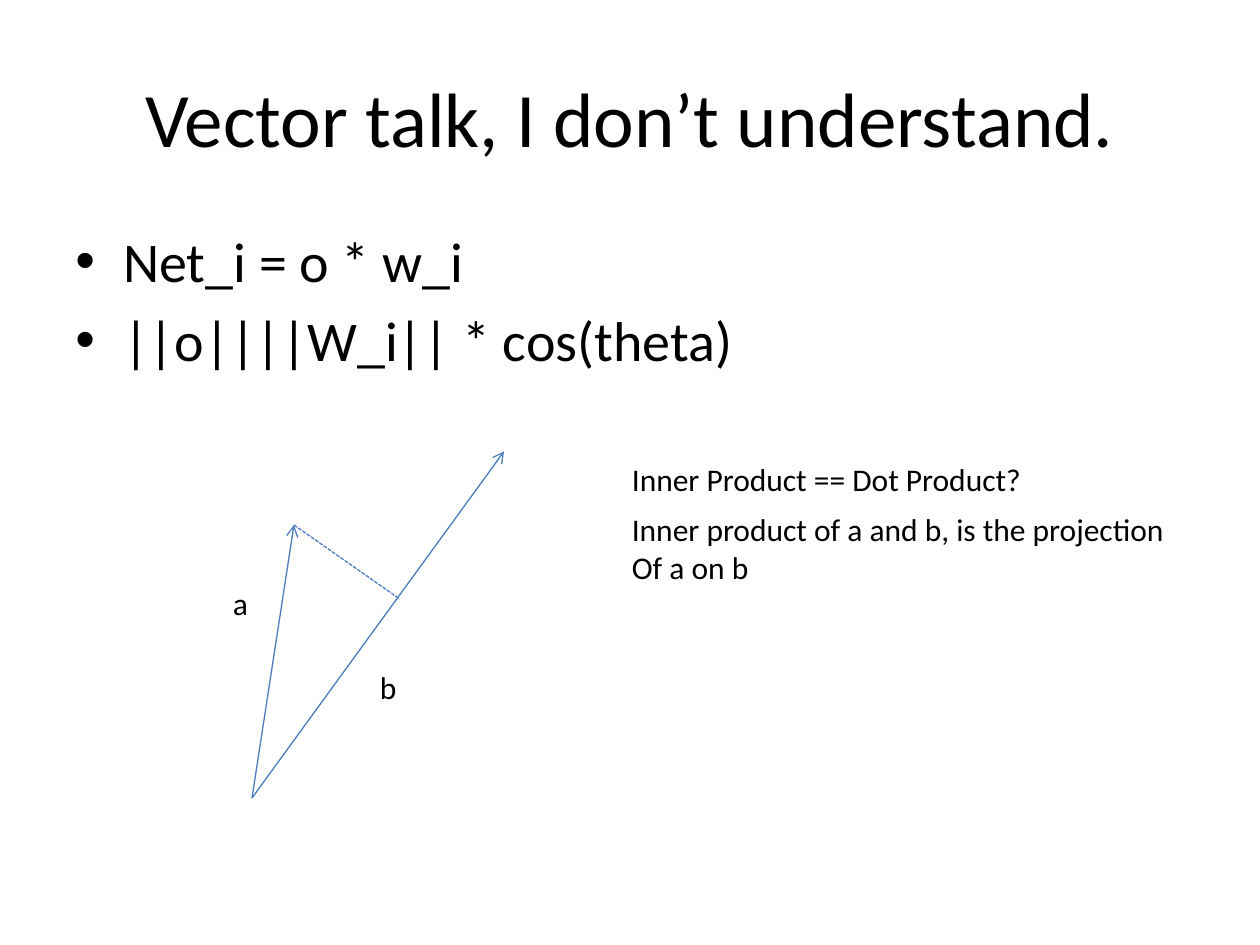
from lxml import etree
from pptx import Presentation
from pptx.dml.color import RGBColor
from pptx.enum.dml import MSO_LINE
from pptx.enum.shapes import MSO_CONNECTOR
from pptx.enum.text import MSO_ANCHOR, MSO_AUTO_SIZE, PP_ALIGN
from pptx.oxml.ns import qn
from pptx.util import Inches, Pt

STRAIGHT = MSO_CONNECTOR.STRAIGHT
DASHED = MSO_LINE.SQUARE_DOT
MIDDLE, TOP = MSO_ANCHOR.MIDDLE, MSO_ANCHOR.TOP
CENTER, LEFT = PP_ALIGN.CENTER, PP_ALIGN.LEFT
FIT_SHAPE, NO_FIT = MSO_AUTO_SIZE.SHAPE_TO_FIT_TEXT, MSO_AUTO_SIZE.NONE
TITLE_ONLY = 5


def color(value):
    return RGBColor.from_string(value)


def grid(*cells):
    """Turn grid cells, twelve to the inch, into lengths."""
    return [Inches(cell / 12) for cell in cells]


class VectorSlide:
    font = "Calibri"
    ink = "000000"
    stroke = "4B7EBC"

    def __init__(self, deck):
        self.page = deck.slides.add_slide(deck.slide_layouts[TITLE_ONLY])

    def fill_text(self, box, lines, size, align=LEFT):
        frame = box.text_frame
        frame.text = "\n".join(lines)
        for para in frame.paragraphs:
            para.alignment = align
            para.font.name = self.font
            para.font.size = Pt(size)
            para.font.color.rgb = color(self.ink)
        return frame

    def title(self, text, *area):
        box = self.page.shapes.title
        box.left, box.top, box.width, box.height = grid(*area)
        frame = self.fill_text(box, [text], 44, CENTER)
        frame.vertical_anchor = MIDDLE
        frame.auto_size = NO_FIT

    def bullets(self, lines, *area):
        box = self.page.shapes.add_textbox(*grid(*area))
        frame = self.fill_text(box, lines, 32)
        frame.word_wrap = True
        frame.vertical_anchor = TOP
        indent = Inches(0.38)
        for para in frame.paragraphs:
            para.space_before = Pt(6.4)
            props = para._p.get_or_add_pPr()
            props.set("marL", str(indent))
            props.set("indent", str(-indent))
            etree.SubElement(props, qn("a:buFont")).set("typeface", "Arial")
            etree.SubElement(props, qn("a:buChar")).set("char", "•")
            # Bullets must precede the default run properties
            defaults = props.find(qn("a:defRPr"))
            if defaults is not None:
                props.append(defaults)

    def label(self, lines, *area):
        box = self.page.shapes.add_textbox(*grid(*area))
        frame = self.fill_text(box, lines, 18)
        frame.word_wrap = False
        frame.auto_size = FIT_SHAPE

    def line(self, start, end, dashed=False):
        line = self.page.shapes.add_connector(STRAIGHT, *grid(*start, *end))
        line.line.color.rgb = color(self.stroke)
        line.line.width = Pt(0.75)
        if dashed:
            line.line.dash_style = DASHED
        else:
            stroke = line.line._get_or_add_ln()
            etree.SubElement(stroke, qn("a:tailEnd")).set("type", "arrow")
        etree.SubElement(line._element.spPr, qn("a:effectLst"))


deck = Presentation()
deck.slide_width, deck.slide_height = grid(120, 90)
slide = VectorSlide(deck)

# Heading and formulas
slide.title("Vector talk, I don’t understand.", 6, 3.6, 108, 15)
slide.bullets(["Net_i = o * w_i", "||o||||W_i|| * cos(theta)"], 6, 21, 108, 59.4)

# Vectors a and b, with the projection of a on b
origin, tip_a, tip_b, foot = (24, 76), (28, 50), (48, 43), (38, 57)
slide.line(origin, tip_a)
slide.line(origin, tip_b)
slide.line(tip_a, foot, dashed=True)
slide.label(["a"], 21, 55, 3.8, 4.8)
slide.label(["b"], 35, 63, 4.1, 4.8)

# Explanation beside the drawing
slide.label(["Inner product of a and b, is the projection", "Of a on b"],
            59, 48, 53.8, 8.5)
slide.label(["Inner Product == Dot Product?"], 59, 43.2, 40, 4.8)

deck.save("out.pptx")
